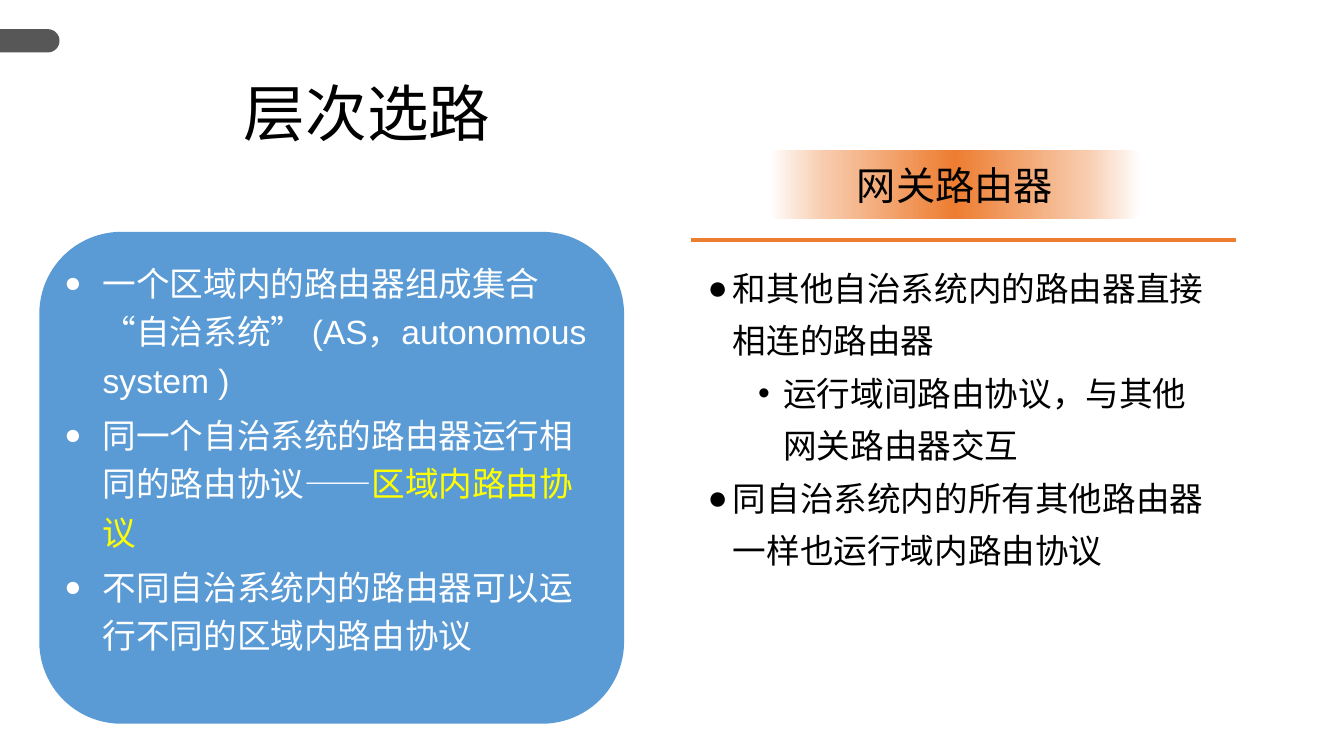
import math
from lxml import etree
from pptx import Presentation
from pptx import util as u
from pptx.dml.color import RGBColor
from pptx.enum import shapes, text
from pptx.oxml import parse_xml
from pptx.oxml.ns import nsdecls, qn

I = u.Inches
CJK = "Noto Sans CJK SC"
BLACK, WHITE, YELLOW = "000000", "FFFFFF", "FFFF00"
GREY, BLUE, ORANGE, PEACH = "575757", "5B9BD5", "ED7D31", "F8CBAD"


def rgb(color):
    return RGBColor.from_string(color)


def add_run(p, txt, size, color, font="Arial"):
    r = p.add_run()
    r.text = txt
    r.font.size = u.Pt(size)
    r.font.name = font
    r.font.color.rgb = rgb(color)
    rPr = r._r.get_or_add_rPr()
    rPr.set("lang", "zh-CN")
    ea = etree.Element(qn("a:ea"), typeface=CJK)
    rPr.find(qn("a:latin")).addnext(ea)


def set_bullet(p, char, left, hang, scale=100):
    pPr = p._p.get_or_add_pPr()
    pPr.set("marL", str(I(left)))
    pPr.set("indent", str(-I(hang)))
    etree.SubElement(pPr, qn("a:buSzPct"), val=str(scale * 1000))
    etree.SubElement(pPr, qn("a:buFont"), typeface="Arial")
    etree.SubElement(pPr, qn("a:buChar"), char=char)


def add_text(s, x, y, w, h):
    tf = s.shapes.add_textbox(I(x), I(y), I(w), I(h)).text_frame
    tf.word_wrap = True
    return tf


def next_paragraph(tf, i):
    return tf.add_paragraph() if i else tf.paragraphs[0]


def add_panel(s, x, y, w, h, color=None):
    sp = s.shapes.add_shape(shapes.MSO_SHAPE.ROUNDED_RECTANGLE, I(x), I(y), I(w), I(h))
    sp.shadow.inherit = False
    sp.line.fill.background()
    if color:
        sp.fill.solid()
        sp.fill.fore_color.rgb = rgb(color)
    return sp


def edge_tab(s, x, y, w, h):
    radius = h / 2
    cx, cy = x + w - radius, y + radius
    angles = [math.radians(a) for a in range(-90, 91, 5)]
    arc = [(cx + radius * math.cos(a), cy + radius * math.sin(a)) for a in angles]
    fb = s.shapes.build_freeform(I(x), I(y), scale=1.0)
    fb.add_line_segments([(I(px), I(py)) for px, py in arc] + [(I(x), I(y + h))])
    sp = fb.convert_to_shape()
    sp.shadow.inherit = False
    sp.fill.solid()
    sp.fill.fore_color.rgb = rgb(GREY)
    sp.line.fill.background()


def title(s, x, y, w, h):
    p = add_text(s, x, y, w, h).paragraphs[0]
    p.line_spacing = 0.9
    add_run(p, "层次选路", 44, BLACK)


def autonomous_systems(s, x, y, w, h):
    points = [
        [("一个区域内的路由器组成集合 “自治系统” (AS，autonomous system )", WHITE)],
        [("同一个自治系统的路由器运行相同的路由协议——", WHITE), ("区域内路由协议", YELLOW)],
        [("不同自治系统内的路由器可以运行不同的区域内路由协议", WHITE)],
    ]
    add_panel(s, x, y, w, h, BLUE)
    tf = add_text(s, x + 0.15, y + 0.18, w - 0.3, h - 0.73)
    for i, runs in enumerate(points):
        p = next_paragraph(tf, i)
        set_bullet(p, "●", 0.38, 0.38, 85)
        p.line_spacing = 1.2
        if i:
            p.space_before = u.Pt(4.8)
        for txt, color in runs:
            add_run(p, txt, 24, color)


def gateway_header(s, x, y, w, h):
    sp = add_panel(s, x + 0.77, y, 3.7, 0.68)
    stops = [(0, WHITE), (15, PEACH), (50, ORANGE), (85, PEACH), (100, WHITE)]
    gs = "".join(f'<a:gs pos="{pos * 1000}"><a:srgbClr val="{c}"/></a:gs>' for pos, c in stops)
    grad = parse_xml(f'<a:gradFill {nsdecls("a")} rotWithShape="1"><a:gsLst>{gs}</a:gsLst>'
                     '<a:lin ang="0" scaled="1"/></a:gradFill>')
    sp._element.spPr.find(qn("a:prstGeom")).addnext(grad)
    tf = sp.text_frame
    tf.vertical_anchor = text.MSO_ANCHOR.MIDDLE
    p = tf.paragraphs[0]
    p.alignment = text.PP_ALIGN.CENTER
    add_run(p, "网关路由器", 28, BLACK, CJK)

    rule = s.shapes.add_connector(shapes.MSO_CONNECTOR.STRAIGHT, I(x), I(y + h), I(x + w), I(y + h))
    rule.line.color.rgb = rgb(ORANGE)
    rule.line.width = u.Pt(3)
    etree.SubElement(rule._element.spPr, qn("a:effectLst"))


def gateway_points(s, x, y, w, h):
    points = [
        (0, "和其他自治系统内的路由器直接相连的路由器"),
        (1, "运行域间路由协议，与其他网关路由器交互"),
        (0, "同自治系统内的所有其他路由器一样也运行域内路由协议"),
    ]
    tf = add_text(s, x, y, w, h)
    for i, (level, txt) in enumerate(points):
        p = next_paragraph(tf, i)
        p.level = level
        set_bullet(p, "●•"[level], 0.25 + 0.5 * level, 0.25)
        p.line_spacing = 1.3
        add_run(p, txt, 24, BLACK)


def main():
    prs = Presentation()
    prs.slide_width, prs.slide_height = I(13.33), I(7.5)
    s = prs.slides.add_slide(prs.slide_layouts[6])
    edge_tab(s, 0, 0.29, 0.59, 0.23)
    title(s, 2.32, 0.78, 11, 1.25)
    gateway_points(s, 6.92, 2.49, 5.18, 4.84)
    autonomous_systems(s, 0.39, 2.3, 5.8, 4.88)
    gateway_header(s, 6.85, 1.49, 5.41, 0.89)
    prs.save("out.pptx")


if __name__ == "__main__":
    main()
